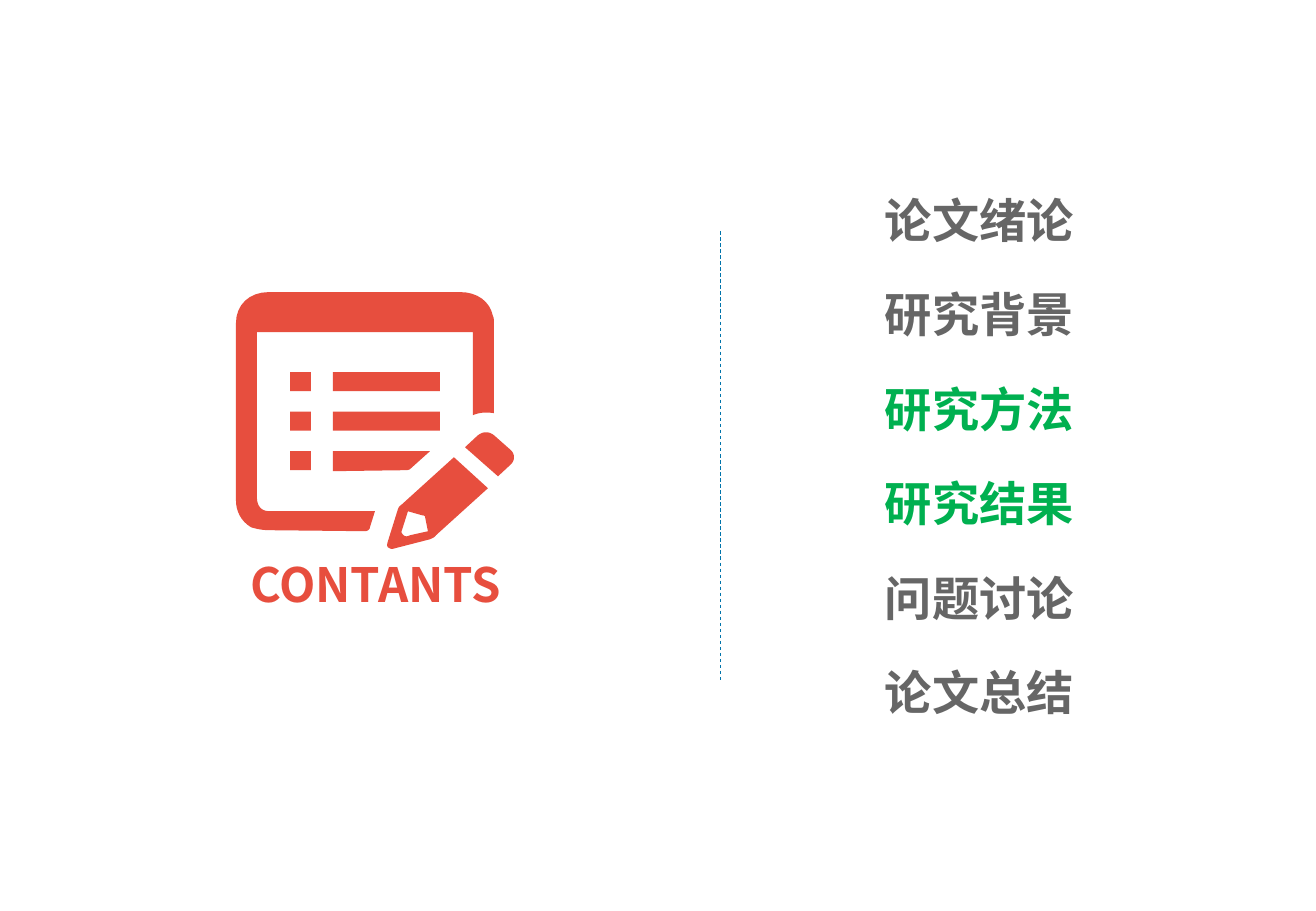
from lxml import etree
from pptx import Presentation
from pptx.dml.color import RGBColor
from pptx.enum.dml import MSO_LINE
from pptx.enum.shapes import MSO_CONNECTOR as CONN, MSO_SHAPE as SHAPE
from pptx.enum.text import MSO_ANCHOR as ANCHOR, MSO_AUTO_SIZE as AUTO, PP_ALIGN as ALIGN
from pptx.oxml.ns import qn
from pptx.util import Inches, Pt

FONT = "Noto Sans CJK SC"
RED, GREY, GREEN, BLUE = "E74E3E", "666666", "00B050", "0174AB"
SIZE = (10.84, 7.5)
TITLE = "CONTANTS"
TOPICS = [
    ("论文绪论", GREY),
    ("研究背景", GREY),
    ("研究方法", GREEN),
    ("研究结果", GREEN),
    ("问题讨论", GREY),
    ("论文总结", GREY),
]

PAGE = [
    (375, 511), (370, 527), (370, 529, 368, 531, 365, 531), (270, 530),
    (263, 530, 257, 529, 251, 527), (241, 521, 236, 511, 236, 500),
    (236, 323), (236, 305, 249, 292, 269, 292), (460, 292),
    (477, 292, 490, 301, 493, 316), (494, 318, 494, 320, 494, 323),
    (494, 413), (487, 412, 480, 412, 473, 415), (473, 332), (257, 332),
    (257, 498), (257, 505, 261, 511, 269, 511),
]
PENCIL = [
    (454, 457), (488, 488), (436, 535), (435, 537, 432, 538, 430, 539),
    (395, 548), (392, 549, 391, 549, 388, 547),
    (387, 546, 387, 544, 388, 541), (398, 509),
    (399, 507, 399, 506, 401, 505),
]
TIP = [
    (408, 511), (402, 530), (401, 532, 402, 533, 402, 533),
    (404, 536, 406, 537, 410, 535), (428, 531), (425, 516),
    (425, 516, 424, 515, 422, 515),
]
ERASER = [
    (465, 447), (478, 435), (483, 431, 489, 431, 494, 435), (511, 450),
    (515, 454, 515, 460, 511, 464), (498, 476),
]
STUB = [
    (333, 451), (430, 451), (410, 469), (408, 470, 407, 470, 405, 470),
    (333, 471),
]
MARKS = [(290, 21, 3), (333, 107, 2)]

UNIT = 914400 / 121.4


def px(n):
    return round(n * UNIT)


def tint(code):
    return RGBColor.from_string(code)


def trace(path):
    dots = []
    for step in path:
        if len(step) == 2:
            dots.append(step)
            continue
        a = dots[-1]
        b, c, d = step[:2], step[2:4], step[4:]
        for i in range(1, 9):
            t = i / 8
            u = 1 - t
            dots.append(tuple(
                u**3 * p + 3 * u * u * t * q + 3 * u * t * t * r + t**3 * s
                for p, q, r, s in zip(a, b, c, d)
            ))
    return [(px(x), px(y)) for x, y in dots]


def paint(shape):
    shape.shadow.inherit = False
    shape.fill.solid()
    shape.fill.fore_color.rgb = tint(RED)
    shape.line.fill.background()


def draw(group, *paths):
    pen = None
    for path in paths:
        dots = trace(path)
        if pen is None:
            pen = group.shapes.build_freeform(*dots[0])
        else:
            pen.move_to(*dots[0])
        pen.add_line_segments(dots[1:], close=True)
    paint(pen.convert_to_shape())


def label(slide, text, color, x, y, w, align):
    box = slide.shapes.add_textbox(px(x), px(y), px(w), px(69))
    frame = box.text_frame
    frame.word_wrap = True
    frame.auto_size = AUTO.SHAPE_TO_FIT_TEXT
    frame.vertical_anchor = ANCHOR.MIDDLE
    para = frame.paragraphs[0]
    para.alignment = align
    run = para.add_run()
    run.text = text
    font = run.font
    font.name, font.size, font.bold = FONT, Pt(28), True
    font.color.rgb = tint(color)
    east = etree.SubElement(run._r.get_or_add_rPr(), qn("a:ea"))
    east.set("typeface", FONT)


deck = Presentation()
deck.slide_width, deck.slide_height = map(Inches, SIZE)
slide = deck.slides.add_slide(deck.slide_layouts[6])

rule = slide.shapes.add_connector(CONN.STRAIGHT, px(720), px(231), px(720), px(680))
rule.line.color.rgb = tint(BLUE)
rule.line.width = Pt(0.5)
rule.line.dash_style = MSO_LINE.DASH
etree.SubElement(rule._element.spPr, qn("a:effectLst"))

for i, (text, color) in enumerate(TOPICS):
    label(slide, text, color, 873, 185 + i * 472 / 5, 259, ALIGN.LEFT)

icon = slide.shapes.add_group_shape()
for paths in ([PAGE], [PENCIL, TIP], [STUB], [ERASER]):
    draw(icon, *paths)
for x, w, count in MARKS:
    for i in range(count):
        y = 372 + i * 79 / 2
        paint(icon.shapes.add_shape(SHAPE.RECTANGLE, px(x), px(y), px(w), px(19)))

label(slide, TITLE, RED, 184, 549, 383, ALIGN.CENTER)

deck.save("out.pptx")
